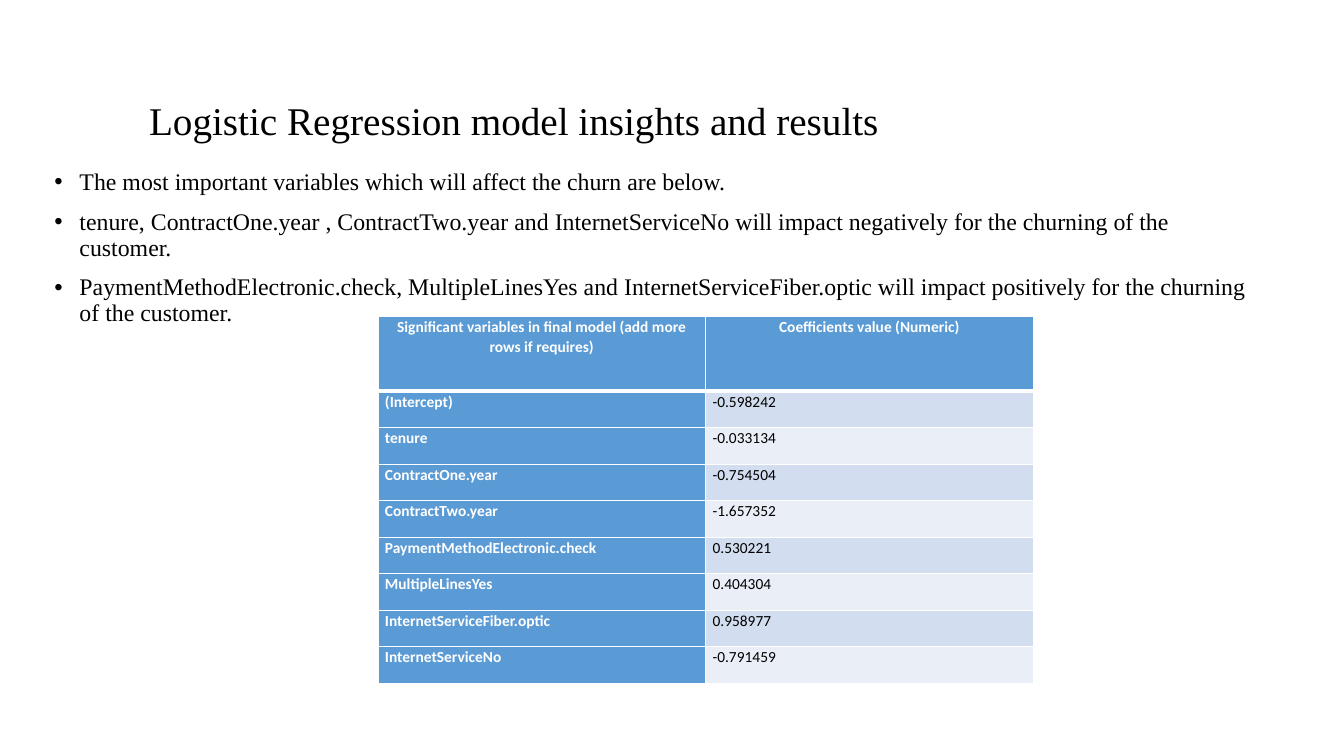
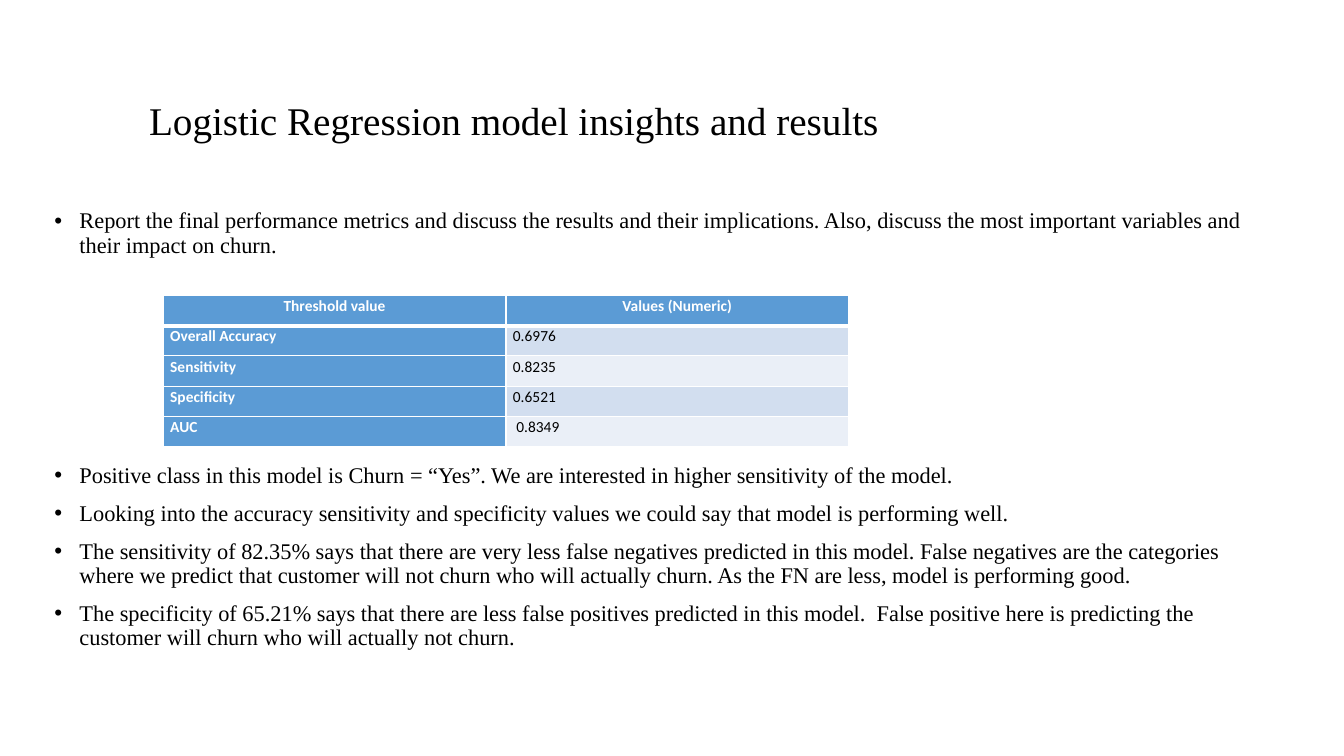
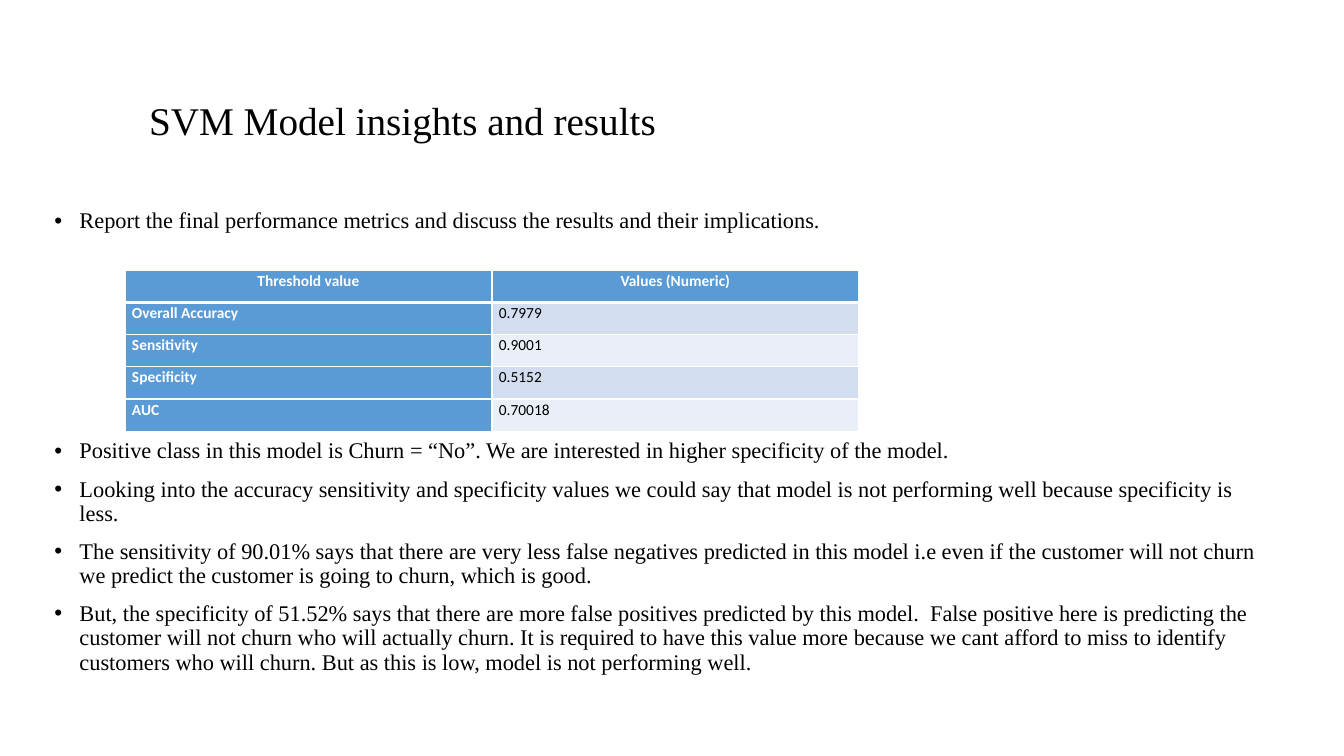
from lxml.etree import SubElement
from pptx import Presentation
from pptx.dml.color import RGBColor
from pptx.enum.text import MSO_ANCHOR, PP_ALIGN
from pptx.oxml.ns import qn
from pptx.util import Pt

# Shared style
BLACK = RGBColor(0x00, 0x00, 0x00)
WHITE = RGBColor(0xFF, 0xFF, 0xFF)
BLUE = RGBColor(0x5B, 0x9B, 0xD5)
BANDS = (RGBColor(0xD2, 0xDE, 0xEF), RGBColor(0xEA, 0xEF, 0xF7))
TEXT_FONT = "Times New Roman"
TABLE_FONT = "Calibri"
BULLET_INDENT = 18
TABLE_GAP = 147


def write(paragraph, text, font=TEXT_FONT, size=16, color=BLACK, bold=False,
          align=PP_ALIGN.LEFT, line_spacing=0.9, space_before=0, bullet=False):
    """Fill a paragraph with one formatted run."""
    paragraph.alignment = align
    paragraph.line_spacing = line_spacing
    paragraph.space_before = Pt(space_before)
    run = paragraph.add_run()
    run.text = text
    run.font.name = font
    run.font.size = Pt(size)
    run.font.bold = bold
    run.font.color.rgb = color
    if bullet:
        properties = paragraph._p.get_or_add_pPr()
        properties.set("marL", str(Pt(BULLET_INDENT)))
        properties.set("indent", str(-Pt(BULLET_INDENT)))
        SubElement(properties, qn("a:buFont"), typeface="Arial")
        SubElement(properties, qn("a:buChar"), char="•")


def draw_borders(cell, top=1, bottom=1):
    """Give a table cell white borders."""
    properties = cell._tc.get_or_add_tcPr()
    for side, width in (("L", 1), ("R", 1), ("T", top), ("B", bottom)):
        line = SubElement(properties, qn(f"a:ln{side}"), w=str(Pt(width)))
        fill = SubElement(line, qn("a:solidFill"))
        SubElement(fill, qn("a:srgbClr"), val=str(WHITE))


class Deck:
    """Holds the presentation and the current slide."""

    def __init__(self):
        self.presentation = Presentation()
        self.presentation.slide_width = Pt(960)
        self.presentation.slide_height = Pt(540)
        self.slide = None

    def add_slide(self, title):
        layout = self.presentation.slide_layouts[6]
        self.slide = self.presentation.slides.add_slide(layout)
        frame = self.add_text_box(89.3, 50.4, 733.7, 67.7)
        frame.vertical_anchor = MSO_ANCHOR.MIDDLE
        frame.margin_left = Pt(17.2)
        frame.margin_top = Pt(9.8)
        write(frame.paragraphs[0], title, size=28)

    def add_text_box(self, left, top, width, height):
        shape = self.slide.shapes.add_textbox(Pt(left), Pt(top), Pt(width), Pt(height))
        shape.text_frame.word_wrap = True
        return shape.text_frame

    def add_bullets(self, texts, top, size=16, gap_before=None):
        """List the texts; gap_before is the index of the item below the table."""
        frame = self.add_text_box(31.7, top, 879.1, 488.2 - top)
        for index, text in enumerate(texts):
            paragraph = frame.add_paragraph() if index else frame.paragraphs[0]
            space = TABLE_GAP if index == gap_before else 10
            write(paragraph, text, size=size, space_before=space, bullet=True)

    def add_table(self, rows, left, top, width, row_height, header_height=None):
        header_height = header_height or row_height
        height = header_height + row_height * (len(rows) - 1)
        table = self.slide.shapes.add_table(
            len(rows), 2, Pt(left), Pt(top), Pt(width), Pt(height)).table
        for column in table.columns:
            column.width = Pt(width / 2)
        for row_index, values in enumerate(rows):
            is_header = row_index == 0
            table.rows[row_index].height = Pt(header_height if is_header else row_height)
            for column_index, value in enumerate(values):
                is_label = is_header or column_index == 0
                cell = table.cell(row_index, column_index)
                cell.margin_left = cell.margin_right = Pt(5)
                cell.margin_top = cell.margin_bottom = 0
                draw_borders(cell, top=3 if row_index == 1 else 1,
                             bottom=3 if is_header else 1)
                cell.fill.solid()
                cell.fill.fore_color.rgb = BLUE if is_label else BANDS[(row_index - 1) % 2]
                write(cell.text_frame.paragraphs[0], value, font=TABLE_FONT, size=11,
                      color=WHITE if is_label else BLACK, bold=is_label,
                      align=PP_ALIGN.CENTER if is_header else PP_ALIGN.LEFT,
                      line_spacing=1.07)

    def add_metrics(self, values, left, top, width, row_height):
        labels = ("Overall Accuracy", "Sensitivity", "Specificity", "AUC")
        rows = [("Threshold value", "Values (Numeric)"), *zip(labels, values)]
        self.add_table(rows, left, top, width, row_height)


deck = Deck()

# Slide 1: model coefficients
deck.add_slide("Logistic Regression model insights and results")
deck.add_bullets([
    "The most important variables which will affect the churn are below.",
    "tenure, ContractOne.year , ContractTwo.year and InternetServiceNo will impact "
    "negatively for the churning of the customer.",
    "PaymentMethodElectronic.check, MultipleLinesYes and InternetServiceFiber.optic "
    "will impact positively for the churning of the customer.",
], top=118.1, size=17)
deck.add_table([
    ("Significant variables in final model (add more rows if requires)",
     "Coefficients value (Numeric)"),
    ("(Intercept)", "-0.598242"),
    ("tenure", "-0.033134"),
    ("ContractOne.year", "-0.754504"),
    ("ContractTwo.year", "-1.657352"),
    ("PaymentMethodElectronic.check", "0.530221"),
    ("MultipleLinesYes", "0.404304"),
    ("InternetServiceFiber.optic", "0.958977"),
    ("InternetServiceNo", "-0.791459"),
], left=270, top=226.1, width=468, row_height=26.1, header_height=53.3)

# Slide 2: logistic regression metrics
deck.add_slide("Logistic Regression model insights and results")
deck.add_bullets([
    "Report the final performance metrics and discuss the results and their "
    "implications. Also, discuss the most important variables and their impact on churn.",
    "Positive class in this model is Churn = “Yes”. We are interested in higher "
    "sensitivity of the model.",
    "Looking into the accuracy sensitivity and specificity values we could say that "
    "model is performing well.",
    "The sensitivity of 82.35% says that there are very less false negatives predicted "
    "in this model. False negatives are the categories where we predict that customer "
    "will not churn who will actually churn. As the FN are less, model is performing good.",
    "The specificity of 65.21% says that there are less false positives predicted in "
    "this model.  False positive here is predicting the customer will churn who will "
    "actually not churn.",
], top=146.2, gap_before=1)
deck.add_metrics(("0.6976", "0.8235", "0.6521", "\u00a00.8349"),
                 left=116.6, top=211, width=489.6, row_height=21.6)

# Slide 3: SVM metrics
deck.add_slide("SVM Model insights and results")
deck.add_bullets([
    "Report the final performance metrics and discuss the results and their implications.",
    "Positive class in this model is Churn = “No”. We are interested in higher "
    "specificity of the model.",
    "Looking into the accuracy sensitivity and specificity values we could say that "
    "model is not performing well because specificity is less.",
    "The sensitivity of 90.01% says that there are very less false negatives predicted "
    "in this model i.e even if the customer will not churn we predict the customer is "
    "going to churn, which is good.",
    "But, the specificity of 51.52% says that there are more false positives predicted "
    "by this model.  False positive here is predicting the customer will not churn who "
    "will actually churn. It is required to have this value more because we cant afford "
    "to miss to identify customers who will churn. But as this is low, model is not "
    "performing well.",
], top=146.2, gap_before=1)
deck.add_metrics(("0.7979", "0.9001", "0.5152", "0.70018"),
                 left=89.3, top=193, width=524.2, row_height=23)

deck.presentation.save("out.pptx")
